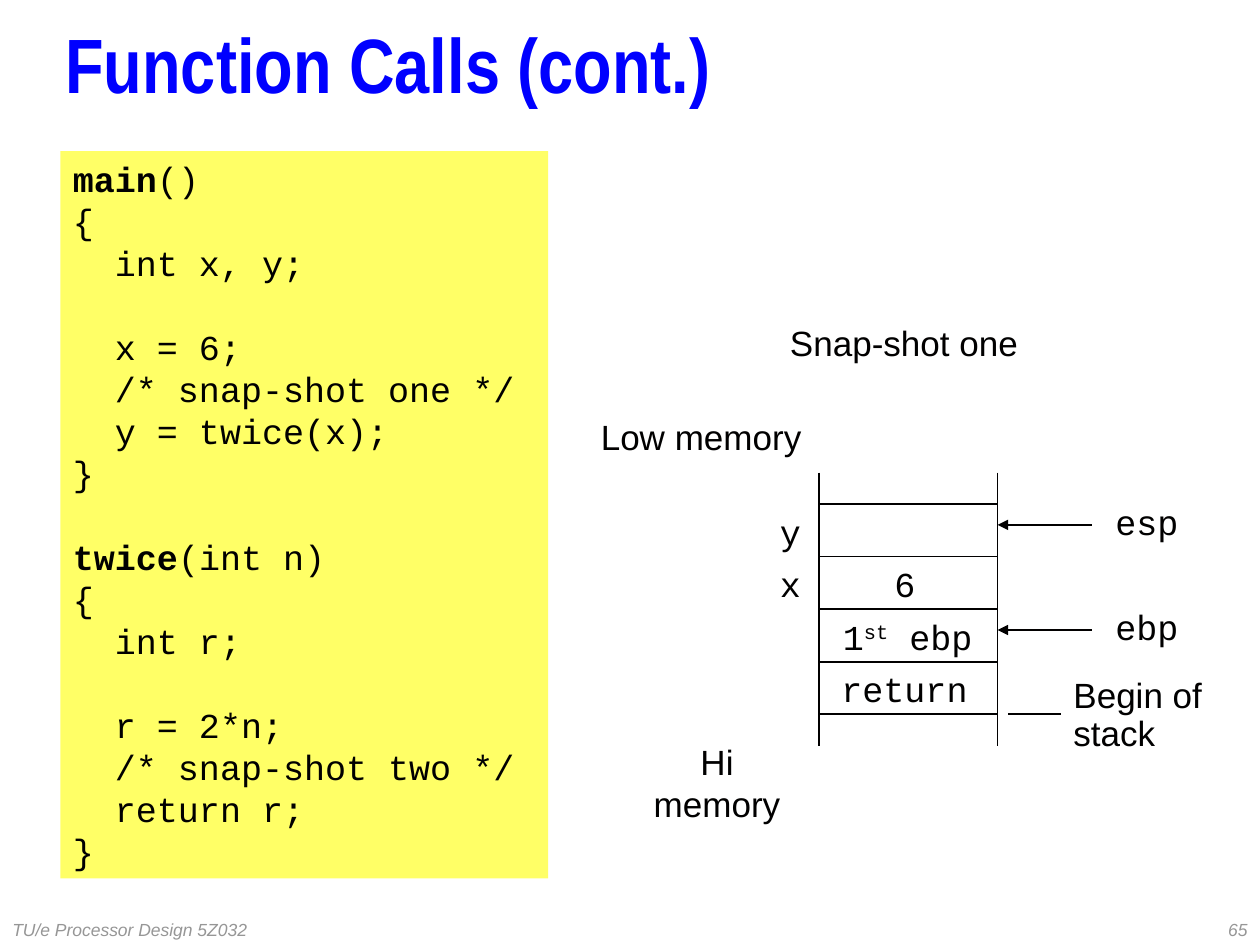
import pptx
import pptx.dml.color
import pptx.enum.shapes
import pptx.enum.text
import pptx.oxml.ns
import pptx.util
from lxml import etree

Cm, Pt = pptx.util.Cm, pptx.util.Pt
ALIGN = pptx.enum.text.PP_ALIGN
ANCHOR = pptx.enum.text.MSO_ANCHOR
COLORS = {"title": "0000FF", "ink": "010000", "code": "FFFF66", "footer": "969696"}
MONO, SANS = "Courier New", "Arial"
BOLD, SUPERSCRIPT = {"bold": True}, {"superscript": True}


class SlideBuilder:
    def __init__(self, slide):
        self.slide = slide
        self.body = {"name": SANS, "size": Pt(20)}
        self.mono = {"name": MONO, "size": Pt(20)}

    def color(self, name):
        return pptx.dml.color.RGBColor.from_string(COLORS[name])

    def set_text(self, shape, lines, font, color="ink", paragraph_format=None, frame_format=None):
        """Each line is a list of (text, extra format) runs; an empty line becomes space before the next."""
        frame = shape.text_frame
        for name, value in (frame_format or {}).items():
            setattr(frame, name, value)
        paragraph, gap = None, False
        for line in lines:
            if not line:
                gap = True
                continue
            paragraph = frame.add_paragraph() if paragraph else frame.paragraphs[0]
            for name, value in (paragraph_format or {}).items():
                setattr(paragraph, name, value)
            if gap:
                paragraph.space_before = paragraph.line_spacing
                gap = False
            for text, extra in line:
                run = paragraph.add_run()
                run.text = text
                run.font.color.rgb = self.color(color)
                for name, value in {**font, **extra}.items():
                    if name == "superscript":
                        run.font._element.set("baseline", "30000")
                    else:
                        setattr(run.font, name, value)

    def text(self, left, top, width, height, lines, font, color="ink",
             paragraph_format=None, frame_format=None):
        box = self.slide.shapes.add_textbox(Cm(left), Cm(top), Cm(width), Cm(height))
        self.set_text(box, lines, font, color, paragraph_format, frame_format)

    def label(self, left, top, width, runs, font):
        self.text(left, top, width, 1.12, [runs], font,
                  paragraph_format={"alignment": ALIGN.CENTER, "line_spacing": Pt(24)},
                  frame_format={"word_wrap": False,
                                "auto_size": pptx.enum.text.MSO_AUTO_SIZE.SHAPE_TO_FIT_TEXT})

    def rectangle(self, left, top, width, height, fill=None, line=None):
        box = self.slide.shapes.add_shape(pptx.enum.shapes.MSO_SHAPE.RECTANGLE,
                                          Cm(left), Cm(top), Cm(width), Cm(height))
        box.shadow.inherit = False
        if fill:
            box.fill.solid()
            box.fill.fore_color.rgb = self.color(fill)
        else:
            box.fill.background()
        if line:
            box.line.color.rgb = self.color(line)
            box.line.width = Pt(1)
        else:
            box.line.fill.background()
        return box

    def line(self, x1, y1, x2, y2, arrow=False):
        connector = self.slide.shapes.add_connector(
            pptx.enum.shapes.MSO_CONNECTOR.STRAIGHT, Cm(x1), Cm(y1), Cm(x2), Cm(y2))
        connector.line.color.rgb = self.color("ink")
        connector.line.width = Pt(1)
        properties = connector._element.spPr
        if arrow:
            outline = properties.find(pptx.oxml.ns.qn("a:ln"))
            etree.SubElement(outline, pptx.oxml.ns.qn("a:tailEnd"), type="triangle")
        etree.SubElement(properties, pptx.oxml.ns.qn("a:effectLst"))


def plain(text):
    return [(text, {})] if text else []


def add_code(builder):
    main_body = ["{", "  int x, y;", "", "  x = 6;", "  /* snap-shot one */",
                 "  y = twice(x);", "}", ""]
    twice_body = ["{", "  int r;", "", "  r = 2*n;", "  /* snap-shot two */",
                  "  return r;", "}"]
    lines = [[("main", BOLD), ("()", {})], *map(plain, main_body),
             [("twice", BOLD), ("(int n)", {})], *map(plain, twice_body)]
    listing = builder.rectangle(1.22, 3.05, 9.83, 14.66, fill="code")
    builder.set_text(listing, lines, builder.mono,
                     paragraph_format={"alignment": ALIGN.LEFT, "line_spacing": Pt(24)},
                     frame_format={"vertical_anchor": ANCHOR.TOP, "word_wrap": True})


def add_stack(builder):
    left, top, width, row = 16.51, 10.16, 3.6, 1.06
    right, bottom, rail = left + width, top + 4 * row, 0.63

    for index in range(4):
        builder.rectangle(left, top + index * row, width, row, line="ink")
    for x in (left, right):
        builder.line(x, top - rail, x, top)
        builder.line(x, bottom, x, bottom + rail)

    first_ebp = [("1", {}), ("st", SUPERSCRIPT), (" ebp", {})]
    for index, x, label_width, runs in [
            (0, 15.47, 0.91, plain("y")), (1, 15.47, 0.91, plain("x")),
            (1, 17.78, 0.91, plain("6")), (2, 16.74, 3.12, first_ebp),
            (3, 16.71, 3.05, plain("return"))]:
        builder.label(x, top + index * row, label_width, runs, builder.mono)

    for index, register in [(0, "esp"), (2, "ebp")]:
        y = top + index * row + 0.42
        builder.line(22.01, y, right, y, arrow=True)
        builder.label(22.23, y - 0.62, 1.78, plain(register), builder.mono)

    for x, y, label_width, caption in [(15.67, 6.35, 5.11, "Snap-shot one"),
                                       (11.86, 8.26, 4.55, "Low memory"),
                                       (12.5, 14.81, 3.91, "Hi memory")]:
        builder.label(x, y, label_width, plain(caption), builder.body)

    builder.line(20.32, bottom, 21.39, bottom)
    builder.text(21.39, 13.54, 3.1, 1.78, [plain("Begin of"), plain("stack")], builder.body,
                 paragraph_format={"line_spacing": Pt(21.6)},
                 frame_format={"word_wrap": False})


def main():
    presentation = pptx.Presentation()
    presentation.slide_width, presentation.slide_height = Cm(25.4), Cm(19.05)
    builder = SlideBuilder(presentation.slides.add_slide(presentation.slide_layouts[6]))
    middle = {"vertical_anchor": ANCHOR.MIDDLE, "word_wrap": True}

    builder.text(1.07, 0.43, 23.29, 2.11, [plain("Function Calls (cont.)")],
                 {"name": "Arial Narrow", "size": Pt(44), "bold": True}, "title",
                 {"line_spacing": 0.7}, middle)
    add_code(builder)
    add_stack(builder)
    for left, text, alignment in [(20.11, "65", ALIGN.RIGHT),
                                  (0, "TU/e Processor Design 5Z032", ALIGN.LEFT)]:
        builder.text(left, 18.42, 5.29, 0.64, [plain(text)],
                     {"name": SANS, "size": Pt(10), "italic": True}, "footer",
                     {"alignment": alignment}, middle)
    presentation.save("out.pptx")


if __name__ == "__main__":
    main()
